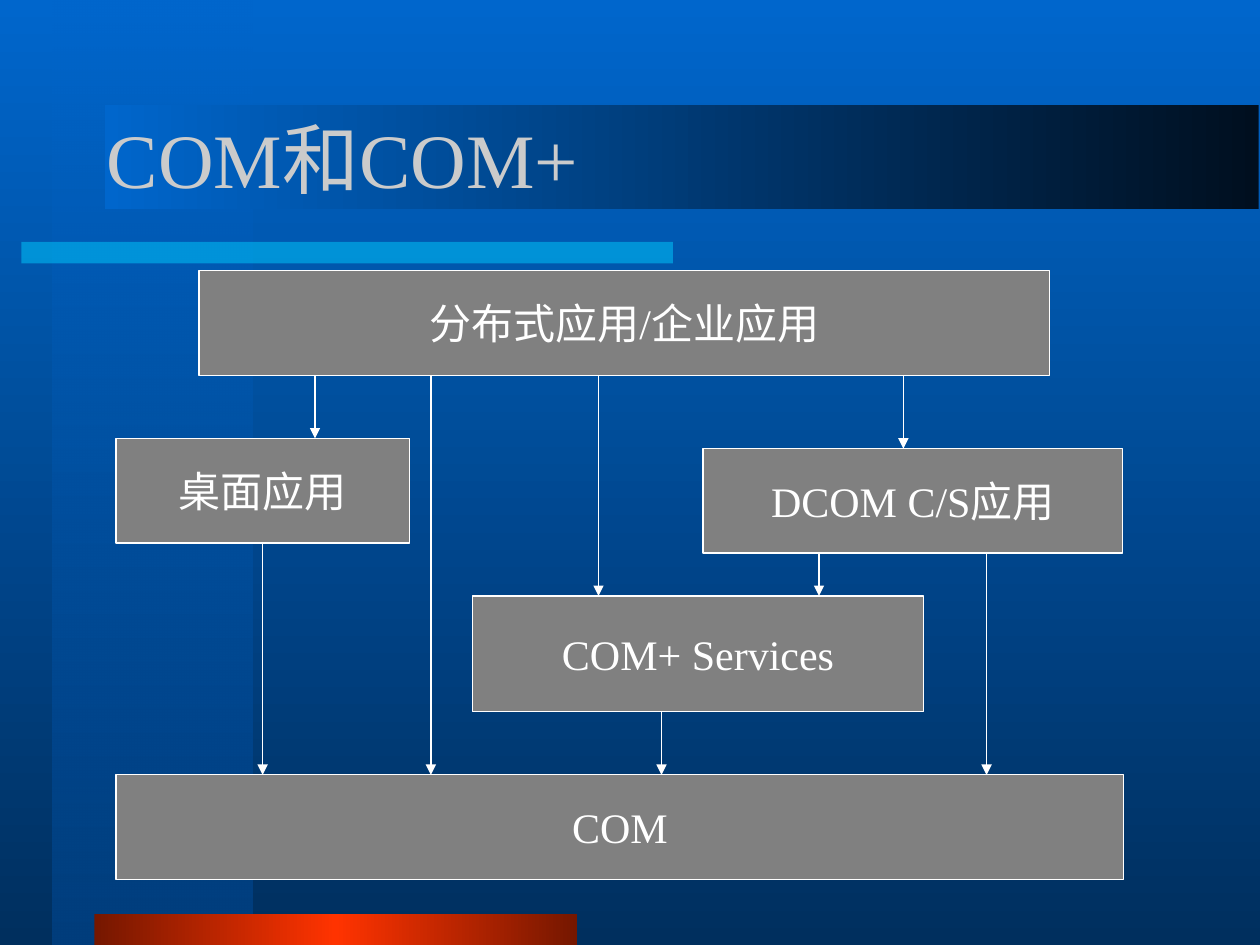
"""Build a slide showing how application layers rest on COM and COM+."""
from typing import NamedTuple, Optional

from lxml import etree
from pptx import Presentation
from pptx.dml.color import RGBColor
from pptx.dml.fill import FillFormat
from pptx.enum.shapes import MSO_CONNECTOR, MSO_SHAPE
from pptx.enum.text import MSO_ANCHOR, PP_ALIGN
from pptx.oxml.ns import qn
from pptx.shapes.autoshape import Shape
from pptx.slide import Slide
from pptx.text.text import TextFrame
from pptx.util import Inches, Pt

RECTANGLE = MSO_SHAPE.RECTANGLE
STRAIGHT = MSO_CONNECTOR.STRAIGHT
MIDDLE = MSO_ANCHOR.MIDDLE
LEFT, CENTER = PP_ALIGN.LEFT, PP_ALIGN.CENTER
BOTTOM_SITE = 2

FONT = "Times New Roman"
WHITE = RGBColor(0xFF, 0xFF, 0xFF)
GRAY = RGBColor(0x80, 0x80, 0x80)
TITLE_GRAY = RGBColor(0xCB, 0xCB, 0xCB)
BLUE = RGBColor(0x00, 0x66, 0xCC)
DEEP_BLUE = RGBColor(0x00, 0x2F, 0x5E)
MID_BLUE = RGBColor(0x00, 0x3E, 0x7D)
NIGHT_BLUE = RGBColor(0x00, 0x0F, 0x1F)
CYAN = RGBColor(0x00, 0xCC, 0xFF)
DARK_RED = RGBColor(0x75, 0x17, 0x00)
RED = RGBColor(0xFF, 0x33, 0x00)


class Stop(NamedTuple):
    position: int
    color: RGBColor
    opacity: int = 100


class Band(NamedTuple):
    left: float
    top: float
    width: float
    height: float
    stops: tuple[Stop, ...]
    angle: int = 0


class Box(NamedTuple):
    text: str
    left: float
    top: float
    width: float
    height: float = 0.83

    @property
    def bottom(self) -> float:
        return self.top + self.height

    @property
    def center(self) -> float:
        return self.left + self.width / 2


class Arrow(NamedTuple):
    source: Box
    target: Box
    x: Optional[float] = None


BACKGROUND_STOPS = (Stop(0, BLUE), Stop(100, DEEP_BLUE))
BANDS = (
    Band(0.42, 0, 1.58, 7.5, (Stop(0, BLUE, 50), Stop(100, MID_BLUE)), 270),
    Band(0.17, 1.92, 5.17, 0.17, (Stop(0, CYAN, 50),)),
    Band(0.75, 7.25, 3.83, 0.25,
         (Stop(0, DARK_RED), Stop(50, RED), Stop(100, DARK_RED)), 180),
    Band(0.83, 0.83, 9.16, 0.83, (Stop(0, NIGHT_BLUE), Stop(100, BLUE)), 180),
)

COM = Box("COM", 0.92, 6.15, 8)
DESKTOP = Box("桌面应用", 0.92, 3.48, 2.33)
DCOM = Box("DCOM C/S应用", 5.58, 3.56, 3.33)
SERVICES = Box("COM+ Services", 3.75, 4.73, 3.58, 0.92)
DISTRIBUTED = Box("分布式应用/企业应用", 1.58, 2.15, 6.75)
BOXES = (COM, DESKTOP, DCOM, SERVICES, DISTRIBUTED)
ARROWS = (
    Arrow(DESKTOP, COM),
    Arrow(DCOM, COM, 7.83),
    Arrow(SERVICES, COM, 5.25),
    Arrow(DCOM, SERVICES, 6.5),
    Arrow(DISTRIBUTED, SERVICES, 4.75),
    Arrow(DISTRIBUTED, DESKTOP, 2.5),
    Arrow(DISTRIBUTED, DCOM, 7.17),
    Arrow(DISTRIBUTED, COM, 3.42),
)


def add_color(parent: etree._Element, stop: Stop) -> None:
    color = etree.SubElement(parent, qn("a:srgbClr"), val=str(stop.color))
    if stop.opacity < 100:
        etree.SubElement(color, qn("a:alpha"), val=str(stop.opacity * 1000))


def set_gradient(fill: FillFormat, element: etree._Element,
                 stops: tuple[Stop, ...], angle: int) -> None:
    fill.gradient()
    fill.gradient_angle = angle
    stop_list = next(element.iter(qn("a:gsLst")))
    for old_stop in list(stop_list):
        stop_list.remove(old_stop)
    for stop in stops:
        add_color(etree.SubElement(stop_list, qn("a:gs"),
                                   pos=str(stop.position * 1000)), stop)


def add_rectangle(slide: Slide, left: float, top: float,
                  width: float, height: float) -> Shape:
    shape = slide.shapes.add_shape(RECTANGLE, Inches(left), Inches(top),
                                   Inches(width), Inches(height))
    shape.shadow.inherit = False
    return shape


def add_band(slide: Slide, band: Band) -> None:
    shape = add_rectangle(slide, band.left, band.top, band.width, band.height)
    shape.line.fill.background()
    if len(band.stops) > 1:
        set_gradient(shape.fill, shape.element, band.stops, band.angle)
    else:
        shape.fill.solid()
        solid = next(shape.element.iter(qn("a:solidFill")))
        add_color(solid, band.stops[0])


def write_text(frame: TextFrame, text: str, size: int, color: RGBColor,
               alignment: PP_ALIGN, wrap: bool) -> None:
    frame.word_wrap = wrap
    frame.vertical_anchor = MIDDLE
    paragraph = frame.paragraphs[0]
    paragraph.text = text
    paragraph.alignment = alignment
    paragraph.font.name = FONT
    paragraph.font.size = Pt(size)
    paragraph.font.color.rgb = color


def add_box(slide: Slide, box: Box) -> Shape:
    shape = add_rectangle(slide, box.left, box.top, box.width, box.height)
    shape.fill.solid()
    shape.fill.fore_color.rgb = GRAY
    shape.line.color.rgb = WHITE
    shape.line.width = Pt(0.75)
    write_text(shape.text_frame, box.text, 24, WHITE, CENTER, False)
    return shape


def add_arrow(slide: Slide, arrow: Arrow, source_shape: Shape) -> None:
    x = Inches(arrow.source.center if arrow.x is None else arrow.x)
    connector = slide.shapes.add_connector(
        STRAIGHT, x, Inches(arrow.source.bottom), x, Inches(arrow.target.top))
    if arrow.x is None:
        connector.begin_connect(source_shape, BOTTOM_SITE)
    connector.line.color.rgb = WHITE
    connector.line.width = Pt(0.75)
    etree.SubElement(connector.line._get_or_add_ln(), qn("a:tailEnd"), type="triangle")
    etree.SubElement(connector.element.spPr, qn("a:effectLst"))


def main() -> None:
    presentation = Presentation()
    presentation.slide_width, presentation.slide_height = Inches(10), Inches(7.5)
    slide = presentation.slides.add_slide(presentation.slide_layouts[6])
    set_gradient(slide.background.fill, slide.element, BACKGROUND_STOPS, 270)
    for band in BANDS:
        add_band(slide, band)
    title = slide.shapes.add_textbox(Inches(0.75), Inches(0.79), Inches(8.5), Inches(0.92))
    write_text(title.text_frame, "COM和COM+", 44, TITLE_GRAY, LEFT, True)
    shapes = {box: add_box(slide, box) for box in BOXES}
    for arrow in ARROWS:
        add_arrow(slide, arrow, shapes[arrow.source])
    presentation.save("out.pptx")


if __name__ == "__main__":
    main()
